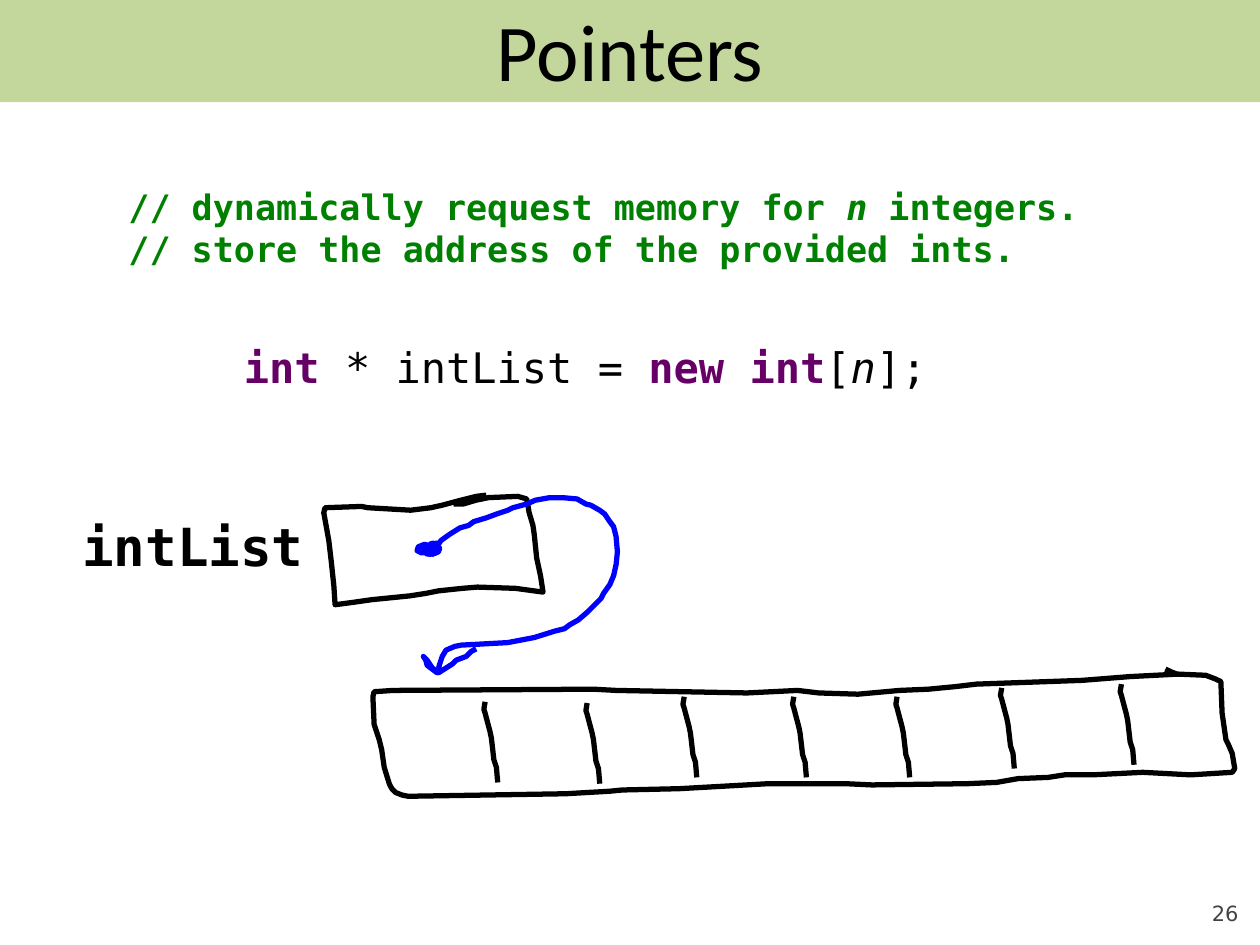
from lxml.etree import SubElement
from pptx import Presentation
from pptx.dml.color import RGBColor
from pptx.enum.shapes import MSO_SHAPE
from pptx.enum.text import MSO_ANCHOR, MSO_AUTO_SIZE, PP_ALIGN
from pptx.oxml.ns import qn
from pptx.util import Cm, Pt

BLACK, BLUE, GREEN, PURPLE = "000000", "0000FF", "008000", "660066"
GREY, BAND = "424242", "C3D69B"
SANS, MONO = "DejaVu Sans", "DejaVu Sans Mono"
KEYWORD = {"color": PURPLE, "bold": True}

# Each paragraph is a list of (text, format changes) runs.
TITLE = [[("Pointers", {})]]
COMMENTS = [
    [("// dynamically request memory for ", {}), ("n ", {"italic": True}), ("integers.", {})],
    [("// store the address of the provided ints.", {})],
]
DECLARATION = [[
    ("int ", KEYWORD), ("* intList = ", {}), ("new int", KEYWORD),
    ("[", {}), ("n", {"italic": True}), ("];", {}),
]]
VARIABLE = [[("intList", {})]]
PAGE_NUMBER = [[("26", {})]]

# Pen strokes, in hundredths of an inch.
STROKE_UNIT = Cm(2.54) / 100
ARRAY_OUTLINE = [
    (936, 535), (897, 537), (859, 540), (775, 543), (758, 545), (737, 547), (714, 548),
    (681, 551), (650, 550), (633, 548), (593, 550), (489, 548), (471, 547), (312, 548),
    (297, 549), (296, 553), (297, 575), (301, 587), (303, 595), (305, 609), (309, 622),
    (311, 626), (314, 629), (319, 631), (324, 632), (449, 630), (484, 628), (494, 627),
    (539, 626), (575, 624), (610, 622), (671, 622), (692, 623), (768, 622), (791, 621),
    (808, 618), (832, 617), (845, 615), (867, 615), (907, 613), (945, 615), (978, 613),
    (980, 610), (978, 598), (975, 591), (973, 587), (970, 566), (969, 541), (965, 539),
    (957, 536), (934, 535), (929, 533), (925, 531),
]
POINTER_BOX = [
    (386, 393), (378, 394), (366, 397), (351, 401), (342, 403), (326, 405), (292, 403),
    (287, 402), (258, 403), (257, 407), (261, 429), (263, 446), (265, 465), (266, 480),
    (281, 478), (295, 476), (325, 473), (338, 471), (348, 469), (367, 467), (379, 466),
    (409, 467), (431, 470), (429, 457), (426, 443), (424, 424), (423, 417), (420, 407),
    (419, 401), (418, 396), (411, 394), (388, 395), (378, 397), (368, 400), (360, 400),
]
POINTER_ARROW = [
    (343, 434), (337, 432), (332, 434), (331, 437), (335, 439), (339, 437), (341, 434),
    (337, 432), (336, 436), (339, 440), (344, 438), (344, 431), (341, 432), (341, 440),
    (346, 439), (348, 435), (347, 431), (343, 432), (343, 440), (348, 438), (349, 435),
    (344, 436), (348, 432), (350, 429), (357, 424), (365, 419), (372, 417), (376, 414),
    (386, 411), (394, 408), (403, 405), (407, 403), (418, 400), (425, 397), (436, 395),
    (447, 395), (458, 396), (465, 400), (469, 401), (476, 405), (480, 408), (484, 414),
    (487, 418), (489, 426), (490, 438), (489, 448), (487, 457), (484, 464), (479, 471),
    (477, 475), (466, 486), (459, 492), (452, 496), (448, 499), (440, 501), (424, 506),
    (403, 510), (366, 512), (361, 513), (354, 516), (351, 521), (349, 527), (347, 534),
    (339, 528), (338, 524), (336, 521), (339, 524), (343, 530), (348, 534), (359, 527),
    (362, 524), (370, 521), (374, 517), (378, 515),
]
DIVIDER = [(1, 0), (0, 6), (1, 9), (5, 24), (6, 29), (8, 46), (10, 52), (11, 64)]
DIVIDER_STARTS = [(384, 557), (465, 558), (542, 553), (629, 553), (711, 553), (794, 546), (889, 543)]


def color_of(hex_color):
    return RGBColor.from_string(hex_color)


def write_text(text_frame, paragraphs, font, size, color=BLACK, bold=False, align=PP_ALIGN.LEFT):
    for index, runs in enumerate(paragraphs):
        paragraph = text_frame.paragraphs[0] if index == 0 else text_frame.add_paragraph()
        paragraph.alignment = align
        for text, changes in runs:
            run = paragraph.add_run()
            run.text = text
            run.font.name = font
            run.font.size = Pt(size)
            run.font.bold = changes.get("bold", bold)
            run.font.italic = changes.get("italic", False)
            run.font.color.rgb = color_of(changes.get("color", color))


def add_text(slide, box, paragraphs, **text_format):
    text_frame = slide.shapes.add_textbox(*map(Cm, box)).text_frame
    text_frame.word_wrap = False
    text_frame.auto_size = MSO_AUTO_SIZE.SHAPE_TO_FIT_TEXT
    write_text(text_frame, paragraphs, **text_format)
    return text_frame


def add_stroke(slide, points, color=BLACK):
    """Draw an open, unfilled pen stroke."""
    builder = slide.shapes.build_freeform(*points[0], scale=STROKE_UNIT)
    builder.add_line_segments(points[1:], close=False)
    shape = builder.convert_to_shape()
    shape.shadow.inherit = False
    shape.fill.background()
    shape.line.color.rgb = color_of(color)
    shape.line.width = Pt(3)


def add_title(slide):
    band = slide.shapes.add_shape(MSO_SHAPE.ROUNDED_RECTANGLE, 0, 0, Cm(25.4), Cm(2.06))
    band.adjustments[0] = 0
    band.shadow.inherit = False
    band.fill.solid()
    band.fill.fore_color.rgb = color_of(BAND)
    band.line.fill.background()

    title = slide.shapes.title
    band._element.addnext(title._element)
    title.left, title.top, title.width, title.height = map(Cm, (0, -0.03, 25.4, 2.06))
    title.fill.solid()
    title.fill.fore_color.rgb = color_of(BAND)
    fill_color = title._element.spPr.find(".//" + qn("a:srgbClr"))
    SubElement(fill_color, qn("a:alpha"), val="80000")
    title.text_frame.auto_size = MSO_AUTO_SIZE.NONE
    title.text_frame.vertical_anchor = MSO_ANCHOR.MIDDLE
    write_text(title.text_frame, TITLE, font="Calibri", size=46, align=PP_ALIGN.CENTER)


def add_page_number(slide):
    text_frame = add_text(slide, (22.86, 17.65, 2.11, 1.02), PAGE_NUMBER,
                          font=SANS, size=12, color=GREY, align=PP_ALIGN.RIGHT)
    text_frame.auto_size = MSO_AUTO_SIZE.NONE
    text_frame.word_wrap = True
    text_frame.vertical_anchor = MSO_ANCHOR.BOTTOM
    text_frame.margin_left = text_frame.margin_right = 0
    text_frame.margin_top = text_frame.margin_bottom = 0


def main():
    presentation = Presentation()
    presentation.slide_width, presentation.slide_height = Cm(25.4), Cm(19.05)
    slide = presentation.slides.add_slide(presentation.slide_layouts[5])

    add_page_number(slide)
    add_title(slide)
    add_text(slide, (4.55, 6.76, 14.38, 1.3), DECLARATION,
             font=MONO, size=24, align=PP_ALIGN.RIGHT)
    add_text(slide, (2.34, 3.61, 19.76, 1.96), COMMENTS,
             font=MONO, size=20, color=GREEN, bold=True)
    add_stroke(slide, ARRAY_OUTLINE)
    for left, top in DIVIDER_STARTS:
        add_stroke(slide, [(left + x, top + y) for x, y in DIVIDER])
    add_stroke(slide, POINTER_BOX)
    add_text(slide, (1.37, 10.24, 5, 1.55), VARIABLE,
             font=MONO, size=30, bold=True, align=PP_ALIGN.RIGHT)
    add_stroke(slide, POINTER_ARROW, BLUE)

    presentation.save("out.pptx")


if __name__ == "__main__":
    main()
